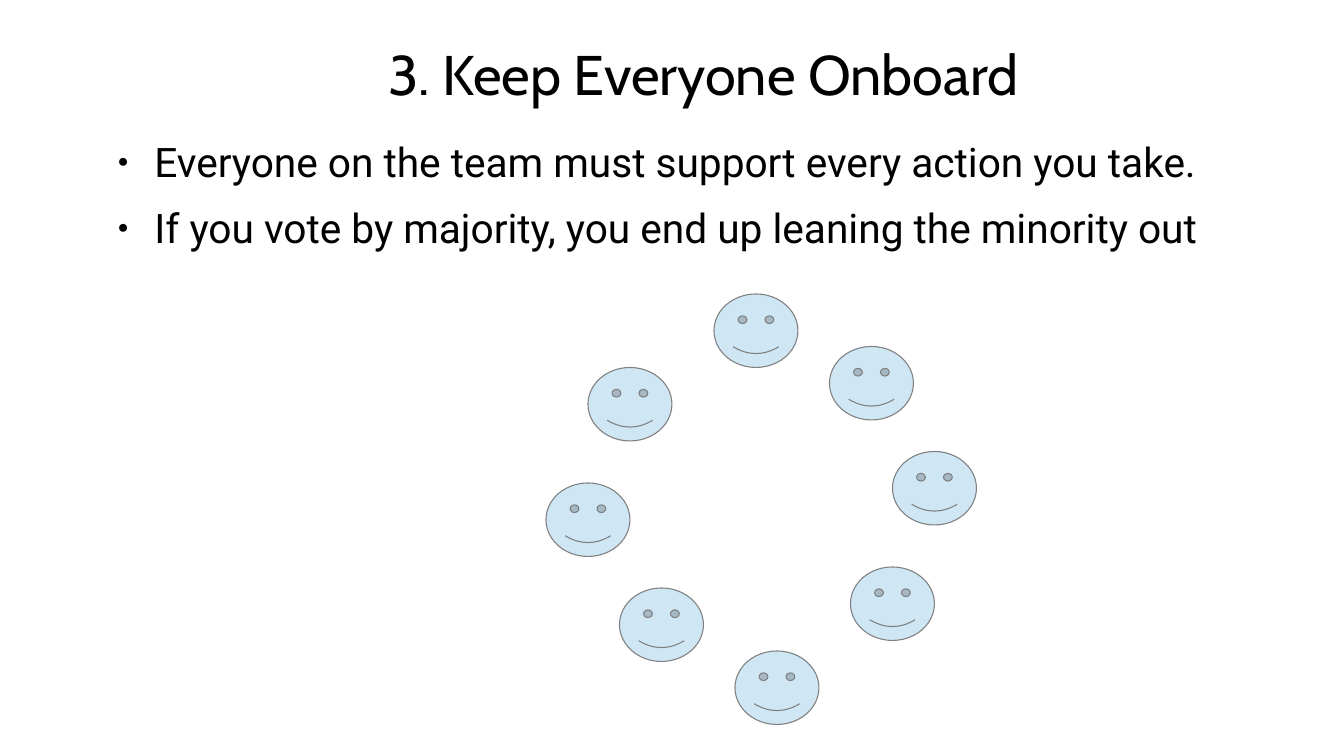
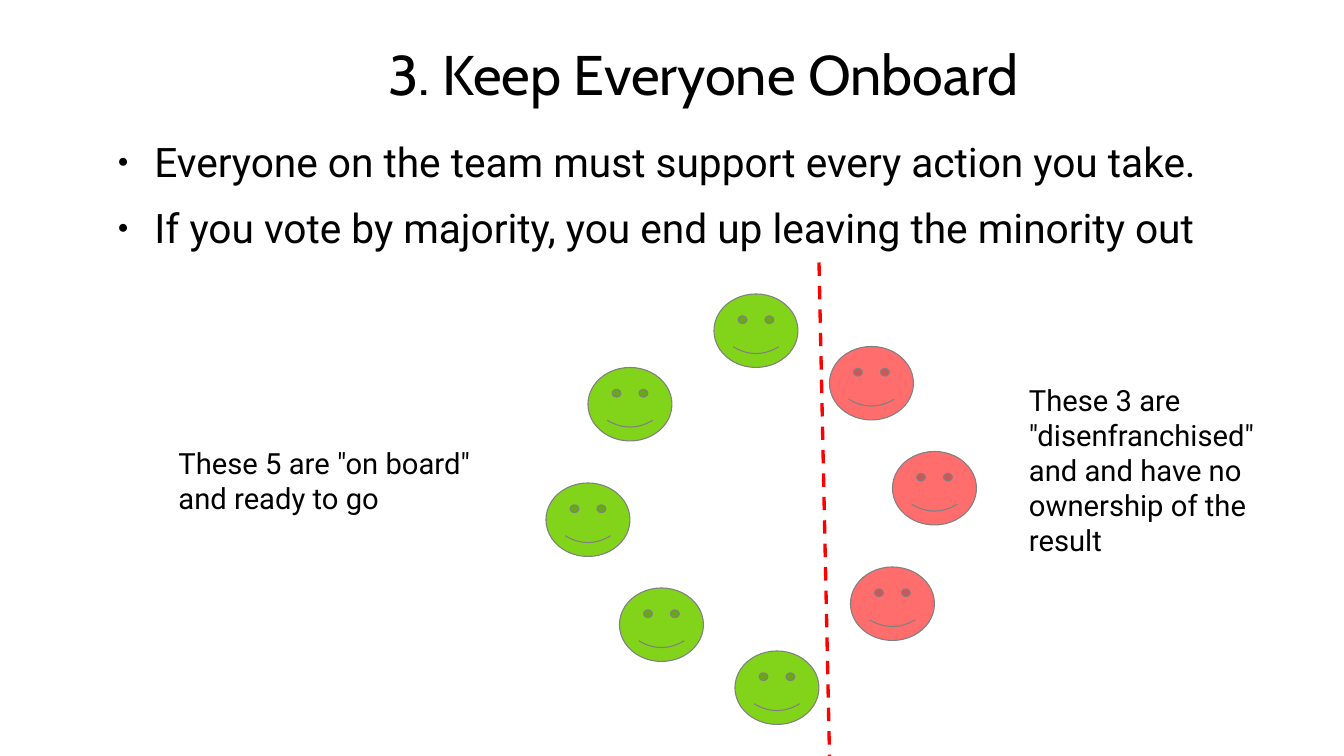
from dataclasses import dataclass

from lxml import etree
from pptx import Presentation
from pptx.dml.color import RGBColor
from pptx.enum.dml import MSO_LINE
from pptx.enum.shapes import MSO_CONNECTOR, MSO_SHAPE
from pptx.enum.text import MSO_ANCHOR, MSO_AUTO_SIZE, PP_ALIGN
from pptx.oxml.ns import qn
from pptx.slide import Slide
from pptx.text.text import TextFrame, _Paragraph
from pptx.util import Inches, Pt

SMILEY = MSO_SHAPE.SMILEY_FACE
STRAIGHT = MSO_CONNECTOR.STRAIGHT
DASH = MSO_LINE.DASH
TOP, MIDDLE = MSO_ANCHOR.TOP, MSO_ANCHOR.MIDDLE
LEFT, CENTER = PP_ALIGN.LEFT, PP_ALIGN.CENTER
NO_AUTOFIT = MSO_AUTO_SIZE.NONE

BLACK = RGBColor(0x00, 0x00, 0x00)
WHITE = RGBColor(0xFF, 0xFF, 0xFF)
GREY = RGBColor(0x80, 0x80, 0x80)
RED = RGBColor(0xFF, 0x00, 0x00)
PALE_BLUE = RGBColor(0xCF, 0xE7, 0xF5)
GREEN = RGBColor(0x81, 0xD4, 0x1A)
CORAL = RGBColor(0xFF, 0x6D, 0x6D)

TITLE_FONT, BODY_FONT = "Cabin", "Roboto"
TITLE_AND_CONTENT = 1
TITLE = "3. Keep Everyone Onboard"
SUPPORT_RULE = "Everyone on the team must support every action you take."


@dataclass(frozen=True)
class Box:
    left: float
    top: float
    width: float
    height: float

    def place(self, shape) -> None:
        shape.left, shape.top = Inches(self.left), Inches(self.top)
        shape.width, shape.height = Inches(self.width), Inches(self.height)


@dataclass(frozen=True)
class Member:
    left: float
    top: float
    on_board: bool = True


@dataclass(frozen=True)
class Note:
    box: Box
    text: str


TITLE_BOX = Box(0.9, 0.29, 11.6, 0.81)
BODY_BOX = Box(1, 1.3, 11.5, 4.18)
FACE_WIDTH, FACE_HEIGHT = 0.8, 0.7

TEAM = (
    Member(5.6, 3.5),
    Member(6.8, 2.8),
    Member(7.9, 3.3, on_board=False),
    Member(8.5, 4.3, on_board=False),
    Member(5.2, 4.6),
    Member(5.9, 5.6),
    Member(7, 6.2),
    Member(8.1, 5.4, on_board=False),
)

NOTES = (
    Note(Box(1.7, 4.24, 3.1, 2.46), 'These 5 are "on board" and ready to go'),
    Note(
        Box(9.8, 3.64, 2.6, 2.46),
        'These 3 are "disenfranchised" and and have no ownership of the result',
    ),
)


def prepare_frame(frame: TextFrame, anchor: MSO_ANCHOR = TOP) -> None:
    frame.auto_size = NO_AUTOFIT
    frame.word_wrap = True
    frame.vertical_anchor = anchor
    frame.margin_left = frame.margin_right = 0
    frame.margin_top = frame.margin_bottom = 0


def write(paragraph: _Paragraph, text: str, font: str, size: float,
          align: PP_ALIGN = LEFT) -> None:
    paragraph.alignment = align
    paragraph.space_before = Pt(0)
    run = paragraph.add_run()
    run.text = text
    run.font.name = font
    run.font.size = Pt(size)
    run.font.color.rgb = BLACK


def add_bullet(paragraph: _Paragraph) -> None:
    properties = paragraph._p.get_or_add_pPr()
    properties.set("marL", str(Inches(0.47)))
    properties.set("indent", str(Inches(-0.35)))
    color = etree.SubElement(properties, qn("a:buClr"))
    etree.SubElement(color, qn("a:srgbClr"), val=str(BLACK))
    etree.SubElement(properties, qn("a:buSzPct"), val="45000")
    etree.SubElement(properties, qn("a:buChar"), char="●")


def add_team_slide(deck: Presentation, points: tuple[str, ...],
                   on_board_color: RGBColor, left_out_color: RGBColor) -> Slide:
    slide = deck.slides.add_slide(deck.slide_layouts[TITLE_AND_CONTENT])
    slide.background.fill.solid()
    slide.background.fill.fore_color.rgb = WHITE

    # Title
    title = slide.shapes.title
    TITLE_BOX.place(title)
    prepare_frame(title.text_frame, MIDDLE)
    write(title.text_frame.paragraphs[0], TITLE, TITLE_FONT, 38.3, CENTER)

    # Bulleted points
    body = slide.placeholders[1]
    BODY_BOX.place(body)
    prepare_frame(body.text_frame)
    for index, point in enumerate(points):
        frame = body.text_frame
        paragraph = frame.add_paragraph() if index else frame.paragraphs[0]
        add_bullet(paragraph)
        write(paragraph, point, BODY_FONT, 27.9)
        paragraph.space_after = Pt(12.3)

    # Ring of team members
    for member in TEAM:
        color = on_board_color if member.on_board else left_out_color
        add_face(slide, member, color)
    return slide


def add_face(slide: Slide, member: Member, color: RGBColor) -> None:
    face = slide.shapes.add_shape(SMILEY, Inches(member.left), Inches(member.top),
                                  Inches(FACE_WIDTH), Inches(FACE_HEIGHT))
    face.adjustments[0] = 0.093
    face.shadow.inherit = False
    face.fill.solid()
    face.fill.fore_color.rgb = color
    face.line.color.rgb = GREY
    face.line.width = Pt(0)


def add_divider(slide: Slide) -> None:
    divider = slide.shapes.add_connector(STRAIGHT, Inches(7.8), Inches(2.5),
                                         Inches(7.9), Inches(7.2))
    divider.line.color.rgb = RED
    divider.line.width = Pt(2.3)
    divider.line.dash_style = DASH
    etree.SubElement(divider._element.spPr, qn("a:effectLst"))


def add_note(slide: Slide, note: Note) -> None:
    label = slide.shapes.add_textbox(0, 0, 0, 0)
    note.box.place(label)
    prepare_frame(label.text_frame)
    write(label.text_frame.paragraphs[0], note.text, BODY_FONT, 20)


def main() -> None:
    deck = Presentation()
    deck.slide_width, deck.slide_height = Inches(12.8), Inches(7.2)

    # The whole team
    add_team_slide(
        deck,
        (SUPPORT_RULE, "If you vote by majority, you end up leaning the minority out"),
        PALE_BLUE, PALE_BLUE,
    )

    # The team split by a vote
    split = add_team_slide(
        deck,
        (SUPPORT_RULE, "If you vote by majority, you end up leaving the minority out"),
        GREEN, CORAL,
    )
    add_divider(split)
    for note in NOTES:
        add_note(split, note)

    deck.save("out.pptx")


if __name__ == "__main__":
    main()
